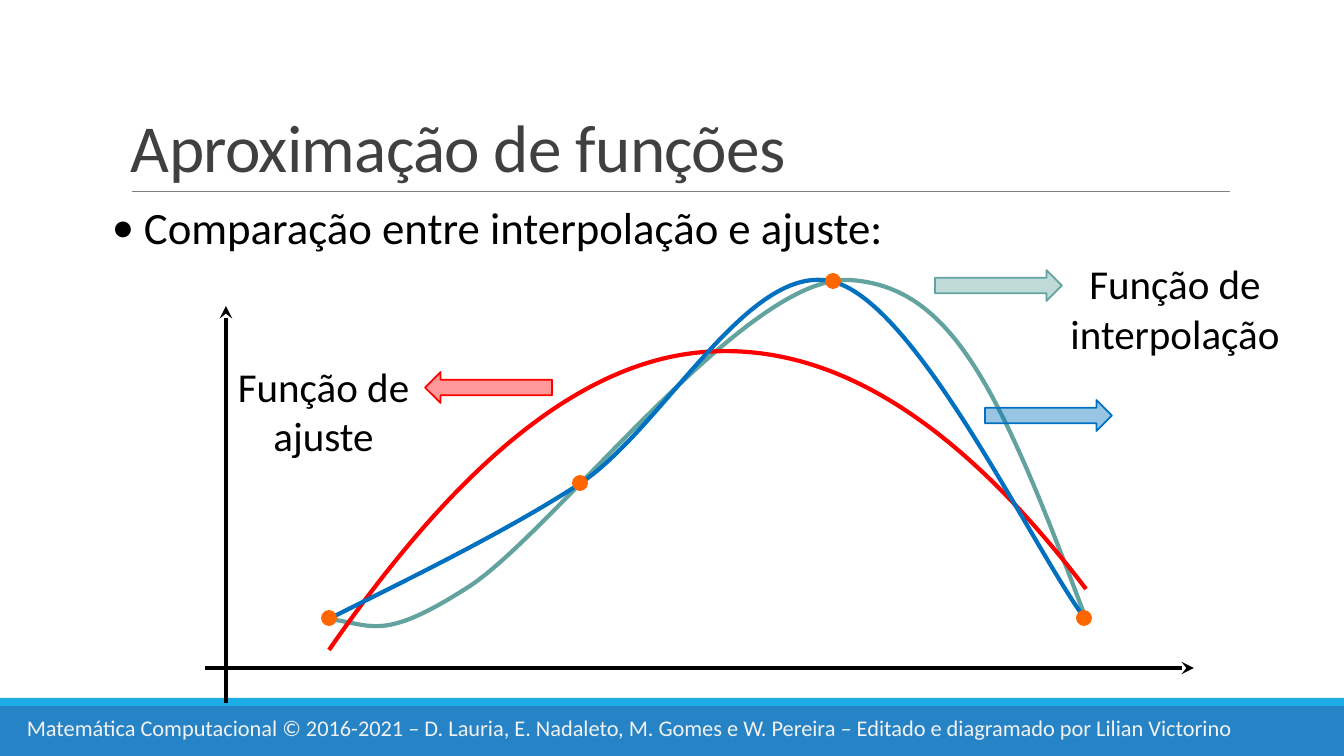
"""Build a slide comparing interpolation and curve fitting."""
from lxml.etree import SubElement
from pptx import Presentation
from pptx.dml.color import RGBColor
from pptx.enum.shapes import MSO_CONNECTOR, MSO_SHAPE
from pptx.enum.text import MSO_ANCHOR, PP_ALIGN
from pptx.oxml.ns import qn
from pptx.util import Emu, Pt

WIDTH, HEIGHT = 1344, 756
SCALE = 914400 / 100.8
FONT = "Calibri"
TEAL, RED, BLUE, ORANGE, BLACK = "62A39F", "FF0000", "0070C0", "FF6600", "000000"

TITLE = "Aproximação de funções"
TOPIC = "Comparação entre interpolação e ajuste:"
FOOTER = ("Matemática Computacional © 2016-2021 – D. Lauria, E. Nadaleto, M. Gomes e W. Pereira"
          " – Editado e diagramado por Lilian Victorino")
BANDS = [((0, 706, WIDTH, 50), "2683C6"), ((0, 698, WIDTH, 8), "1CADE4")]
CURVES = [
    (TEAL, [(329, 619), (374, 625), (383, 642), (470, 586), (556, 529),
            (746, 275), (849, 280), (952, 286), (1000, 389), (1086, 619)]),
    (RED, [(329, 650), (455, 468), (578, 362), (704, 352), (830, 342), (956, 418), (1086, 589)]),
    (BLUE, [(329, 619), (371, 597), (497, 538), (581, 483), (665, 426),
            (750, 259), (834, 282), (918, 305), (1033, 549), (1086, 620)]),
]
POINTS = [(329, 618), (580, 483), (833, 281), (1084, 618)]
DOT = 16
AXES = [((205, 668), (1194, 668)), ((226, 703), (226, 306))]
ARROWS = [((985, 400), BLUE, 0), ((935, 270), TEAL, 0), ((425, 372), RED, 180)]
ARROW_SIZE = (127, 31)
LABELS = [((1069, 259, 212, 100), ["Função de", "interpolação"]),
          ((237, 361, 173, 100), ["Função de", "ajuste"])]


def px(*lengths):
    return [Emu(round(length * SCALE)) for length in lengths]


def color(value):
    return RGBColor.from_string(value)


def set_line(item, value, points):
    item.line.color.rgb = color(value)
    item.line.width = Pt(points)


def add_filled(page, kind, frame, value):
    shape = page.shapes.add_shape(kind, *px(*frame))
    shape.shadow.inherit = False
    shape.fill.solid()
    shape.fill.fore_color.rgb = color(value)
    shape.line.fill.background()
    return shape


def add_text(page, frame, lines, size, value, inset=None, wrap=True, align=PP_ALIGN.LEFT):
    box = page.shapes.add_textbox(*px(*frame))
    text = box.text_frame
    text.word_wrap = wrap
    if inset is not None:
        text.margin_left = text.margin_right = text.margin_top = text.margin_bottom = inset
    text.text = "\n".join(lines)
    for para in text.paragraphs:
        para.alignment = align
        for span in para.runs:
            span.font.name = FONT
            span.font.size = Pt(size)
            span.font.color.rgb = color(value)
    return box


def add_line(page, start, end, value, points, arrow=False):
    line = page.shapes.add_connector(MSO_CONNECTOR.STRAIGHT, *px(*start, *end))
    set_line(line, value, points)
    if arrow:
        SubElement(line.line._get_or_add_ln(), qn("a:tailEnd"), type="stealth")
    SubElement(line._element.spPr, qn("a:effectLst"))


def add_curve(page, value, nodes):
    builder = page.shapes.build_freeform(*nodes[0], scale=SCALE)
    builder.add_line_segments(nodes[1:], close=False)
    curve = builder.convert_to_shape()
    curve.shadow.inherit = False
    curve.fill.background()
    set_line(curve, value, 3)
    outline = next(curve._element.iter(qn("a:path")))
    segments = outline.findall(qn("a:lnTo"))
    for first in range(0, len(segments), 3):
        bezier = SubElement(outline, qn("a:cubicBezTo"))
        for segment in segments[first:first + 3]:
            bezier.append(segment[0])
            outline.remove(segment)


def add_block_arrow(page, corner, value, rotation):
    arrow = add_filled(page, MSO_SHAPE.RIGHT_ARROW, (*corner, *ARROW_SIZE), value)
    arrow.rotation = rotation
    set_line(arrow, value, 1.25)
    fill = arrow._element.spPr.find(qn("a:solidFill"))
    SubElement(fill[0], qn("a:alpha"), val="40000")


def add_title(page):
    box = add_text(page, (121, 31, 1109, 160), [TITLE], 48, "404040")
    box.text_frame.vertical_anchor = MSO_ANCHOR.BOTTOM
    para = box.text_frame.paragraphs[0]
    para.line_spacing = 0.85
    para.runs[0].font._element.set("spc", "-50")


def add_topic(page):
    box = add_text(page, (102, 195, 1273 - 102, 65), [TOPIC], 32, BLACK)
    properties = box.text_frame.paragraphs[0]._p.get_or_add_pPr()
    indent = px(32)[0]
    properties.set("marL", str(indent))
    properties.set("indent", str(-indent))
    SubElement(properties, qn("a:buFont"), typeface=FONT)
    SubElement(properties, qn("a:buChar"), char="•")


def main():
    deck = Presentation()
    deck.slide_width, deck.slide_height = px(WIDTH, HEIGHT)
    page = deck.slides.add_slide(deck.slide_layouts[6])
    for frame, value in BANDS:
        add_filled(page, MSO_SHAPE.RECTANGLE, frame, value)
    add_line(page, (132, 191), (1230, 191), "808080", 0.5)
    add_text(page, (17, 709, 1291, 37), [FOOTER], 16, "F2F2F2")
    add_topic(page)
    for value, nodes in CURVES:
        add_curve(page, value, nodes)
    for x, y in POINTS:
        add_filled(page, MSO_SHAPE.OVAL, (x - DOT / 2, y - DOT / 2, DOT, DOT), ORANGE)
    for start, end in AXES:
        add_line(page, start, end, BLACK, 3, arrow=True)
    for corner, value, rotation in ARROWS:
        add_block_arrow(page, corner, value, rotation)
    for frame, lines in LABELS:
        add_text(page, frame, lines, 29.3, BLACK, inset=0, wrap=False, align=PP_ALIGN.CENTER)
    add_title(page)
    deck.save("out.pptx")


if __name__ == "__main__":
    main()
